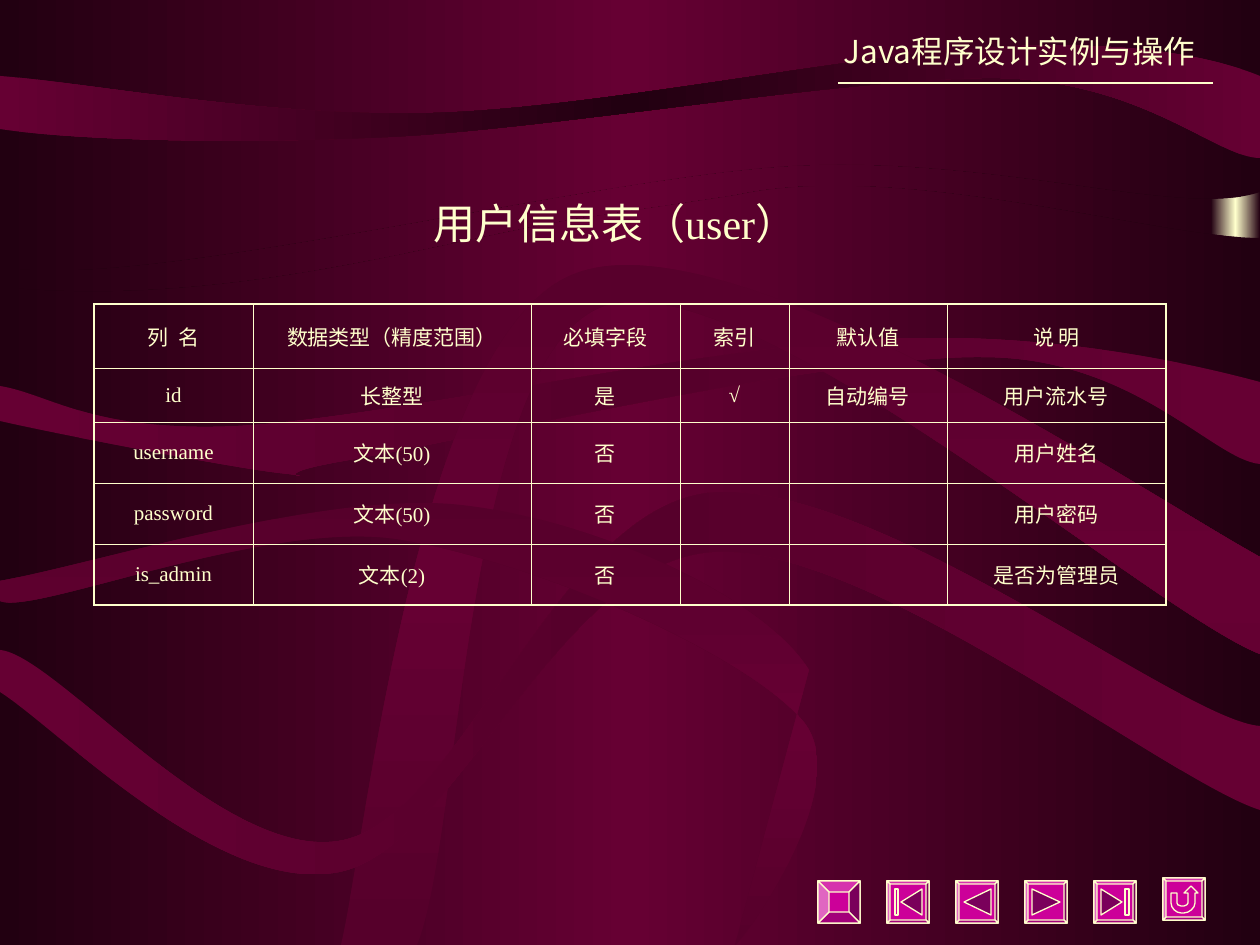
from copy import deepcopy
from lxml import etree
from pptx import Presentation
from pptx.dml.color import RGBColor
from pptx.enum.shapes import MSO_CONNECTOR, MSO_SHAPE
from pptx.enum.text import MSO_ANCHOR, PP_ALIGN
from pptx.oxml.ns import qn
from pptx.util import Pt

PX = 914400 / 126
RECT = MSO_SHAPE.RECTANGLE
STRAIGHT = MSO_CONNECTOR.STRAIGHT
MIDDLE = MSO_ANCHOR.MIDDLE
CENTER, RIGHT = PP_ALIGN.CENTER, PP_ALIGN.RIGHT
SERIF, SANS = "Times New Roman", "Noto Sans CJK SC"
COLORS = {"cream": "FFFFCC", "night": "220011", "wine": "660033", "plum": "56002B",
          "pink": "CC0099"}
W, H = 1260, 945

HEADER = "Java程序设计实例与操作"
TITLE = "用户信息表（user）"
ROWS = [
    ("列  名", "数据类型（精度范围）", "必填字段", "索引", "默认值", "说 明"),
    ("id", "长整型", "是", "√", "自动编号", "用户流水号"),
    ("username", "文本(50)", "否", "", "", "用户姓名"),
    ("password", "文本(50)", "否", "", "", "用户密码"),
    ("is_admin", "文本(2)", "否", "", "", "是否为管理员"),
]
COL_WIDTHS = [159, 278, 149, 109, 158, 219]
ROW_HEIGHTS = [64, 54, 61, 61, 61]

# Outline steps: two numbers are a corner, six are a Bezier curve.
# Each ribbon: outer colour, middle colour, gradient angle, outline.
RIBBONS = [
    ("night", "wine", 0, [
        (0, 0), (W, 0), (W, 192), (1182, 219, 998, 154, 788, 166),
        (577, 179, 131, 294, 0, 266), (0, 0)]),
    ("night", "wine", 0, [
        (0, 287), (224, 309, 428, 244, 577, 219), (577, 219, 714, 199, 738, 195),
        (901, 160, 1155, 238, W, 238), (W, H), (0, H), (0, H, 0, 287, 0, 287)]),
    ("wine", "night", 0, [
        (0, 76), (0, 129), (64, 139, 222, 145, 388, 137),
        (554, 129, 856, 76, 1000, 78), (1145, 82, 1217, 158, W, 158), (W, 76),
        (1216, 58, 1135, 40, 998, 47), (859, 53, 601, 108, 435, 113),
        (268, 118, 91, 83, 0, 76)]),
    ("wine", "plum", 0, [
        (0, 386), (0, 421), (47, 432, 221, 466, 280, 473),
        (339, 479, 239, 478, 355, 459), (473, 438, 832, 355, 983, 357),
        (1134, 357, 1213, 460, W, 464), (W, 382), (1197, 365, 1053, 331, 883, 339),
        (713, 345, 387, 418, 239, 426), (92, 433, 50, 394, 0, 386)]),
    ("plum", "wine", 90, [
        (341, H), (367, 833, 418, 339, 572, 275), (725, 209, 1145, 494, W, 557),
        (W, 654), (1150, 611, 745, 258, 604, 306), (464, 355, 461, 839, 417, H),
        (341, H)]),
    ("wine", "plum", 0, [
        (0, 650), (0, 692), (57, 728, 219, 896, 339, 872),
        (457, 849, 558, 562, 712, 552), (866, 541, 1168, 781, W, 810), (W, 726),
        (1182, 721, 871, 475, 708, 493), (556, 512, 462, 814, 344, 840),
        (226, 866, 57, 655, 0, 650)]),
    ("plum", "wine", 90, [
        (0, 581), (0, 601), (33, 616, 262, 520, 396, 539),
        (529, 559, 746, 653, 803, 721), (859, 788, 733, 954, 735, H), (809, 670),
        (764, 597, 596, 520, 461, 505), (326, 490, 96, 564, 0, 581)]),
]

# Each button: top, bevel depth, icon parts (shade, outline inside the button).
BUTTON_LEFT, BUTTON_PITCH, BUTTON_SIZE = 818, 69, 42
BUTTONS = [
    (881, 11, []),
    (881, 3, [("darken", [(14, 21), (35, 8), (35, 34)]),
              ("norm", [(8, 8), (11, 8), (11, 34), (8, 34)])]),
    (881, 3, [("darken", [(8, 21), (35, 8), (35, 34)])]),
    (881, 3, [("darken", [(7, 8), (35, 21), (7, 34)])]),
    (881, 3, [("darken", [(28, 21), (7, 34), (7, 8)]),
              ("norm", [(31, 8), (31, 34), (35, 34), (35, 8)])]),
    (878, 3, [("norm", [
        (8, 15), (14, 15), (14, 25), (14, 26, 15, 28, 18, 28), (21, 28),
        (23, 28, 25, 26, 25, 25), (25, 15), (21, 15), (28, 8), (35, 15), (32, 15),
        (32, 25), (32, 30, 26, 35, 21, 35), (18, 35), (13, 35, 8, 30, 8, 25)])]),
]


def px(n):
    return round(n * PX)


def rgb(name):
    return RGBColor.from_string(COLORS[name])


def grade(fill, element, outer, middle, angle):
    """Three-stop gradient: outer, middle, outer."""
    fill.gradient()
    fill.gradient_angle = angle
    first, last = fill.gradient_stops
    first.color.rgb = last.color.rgb = rgb(outer)
    first.position, last.position = 0, 1
    stops = element.find(".//" + qn("a:gsLst"))
    stops.insert(1, deepcopy(stops[0]))
    center = fill.gradient_stops[1]
    center.color.rgb, center.position = rgb(middle), 0.5


def add_outlines(s, parts, left=0, top=0):
    """One freeform from (shade, outline) parts, each part a path of its own."""
    builder = None
    for _, outline in parts:
        points = [(px(left + step[i]), px(top + step[i + 1]))
                  for step in outline for i in range(0, len(step), 2)]
        if builder is None:
            builder = s.shapes.build_freeform(*points[0], scale=1.0)
        else:
            builder.move_to(*points[0])
        builder.add_line_segments(points[1:], close=True)
    sp = builder.convert_to_shape()
    sp.shadow.inherit = False

    source = sp.element.find(".//" + qn("a:path"))
    path_list = source.getparent()
    commands = iter(list(source))
    for shade, outline in parts:
        path = etree.SubElement(path_list, qn("a:path"), dict(source.attrib), fill=shade)
        for step in outline:
            command = next(commands)
            path.append(command)
            if len(step) == 6:
                command.tag = qn("a:cubicBezTo")
                for _ in range(2):
                    command.append(next(commands)[0])
        path.append(next(commands))
    path_list.remove(source)
    return sp


def bevel_parts(depth):
    """Face and the four sloping edges of a button."""
    n, m = BUTTON_SIZE, BUTTON_SIZE - depth
    outer = [(0, 0), (n, 0), (n, n), (0, n)]
    inner = [(depth, depth), (m, depth), (m, m), (depth, m)]
    parts = [("norm", outer)]
    for i, shade in enumerate(("lightenLess", "darken", "darkenLess", "lighten")):
        j = (i + 1) % 4
        parts.append((shade, [outer[i], outer[j], inner[j], inner[i]]))
    return parts


def write(tf, text, size, font, align):
    p = tf.paragraphs[0]
    p.alignment = align
    r = p.add_run()
    r.text = text
    r.font.size, r.font.name = Pt(size), font
    r.font.color.rgb = rgb("cream")
    etree.SubElement(r.font._element, qn("a:ea"), typeface=SANS)


def add_text(s, box, *style, right_inset=13):
    tf = s.shapes.add_textbox(*map(px, box)).text_frame
    tf.word_wrap = True
    tf.vertical_anchor = MIDDLE
    tf.margin_right = px(right_inset)
    write(tf, *style)


def add_borders(cell, widths):
    tcPr = cell._tc.get_or_add_tcPr()
    for i, (side, width) in enumerate(zip("LRTB", widths)):
        ln = etree.Element(qn("a:ln" + side), w=str(Pt(width)))
        fill = etree.SubElement(ln, qn("a:solidFill"))
        etree.SubElement(fill, qn("a:srgbClr"), val=COLORS["cream"])
        tcPr.insert(i, ln)


def add_user_table(s):
    n_rows, n_cols = len(ROWS), len(COL_WIDTHS)
    frame = s.shapes.add_table(n_rows, n_cols, px(94), px(304),
                               px(sum(COL_WIDTHS)), px(sum(ROW_HEIGHTS)))
    table = frame.table
    table.first_row = table.horz_banding = False
    for column, width in zip(table.columns, COL_WIDTHS):
        column.width = px(width)
    for i, (row, height) in enumerate(zip(ROWS, ROW_HEIGHTS)):
        table.rows[i].height = px(height)
        for j, text in enumerate(row):
            cell = table.cell(i, j)
            cell.vertical_anchor = MIDDLE
            cell.fill.background()
            outer = (j == 0, j == n_cols - 1, i == 0, i == n_rows - 1)
            add_borders(cell, [1.08 if edge else 0.45 for edge in outer])
            if text:
                write(cell.text_frame, text, 12, SERIF, CENTER)


def main():
    prs = Presentation()
    prs.slide_width, prs.slide_height = px(W), px(H)
    s = prs.slides.add_slide(prs.slide_layouts[6])
    grade(s.background.fill, s.element, "night", "wine", 0)

    glow = s.shapes.add_shape(RECT, px(1211), px(62), px(49), px(435))
    glow.shadow.inherit = False
    glow.line.fill.background()
    grade(glow.fill, glow.element, "night", "cream", 0)
    for outer, middle, angle, outline in RIBBONS:
        ribbon = add_outlines(s, [("norm", outline)])
        ribbon.line.fill.background()
        grade(ribbon.fill, ribbon.element, outer, middle, angle)

    for i, (top, depth, icon) in enumerate(BUTTONS):
        button = add_outlines(s, bevel_parts(depth) + icon,
                              BUTTON_LEFT + i * BUTTON_PITCH, top)
        button.fill.solid()
        button.fill.fore_color.rgb = rgb("pink")
        button.line.color.rgb = rgb("cream")
        button.line.width = Pt(0.75)

    rule = s.shapes.add_connector(STRAIGHT, px(838), px(83), px(1213), px(83))
    rule.line.color.rgb = rgb("cream")
    rule.line.width = Pt(0.75)
    etree.SubElement(rule.element.spPr, qn("a:effectLst"))

    add_text(s, (770, 26, 438, 50), HEADER, 18, SANS, RIGHT)
    add_text(s, (214, 191, 824, 63), TITLE, 24, SERIF, CENTER, right_inset=34)
    add_user_table(s)
    prs.save("out.pptx")


if __name__ == "__main__":
    main()
